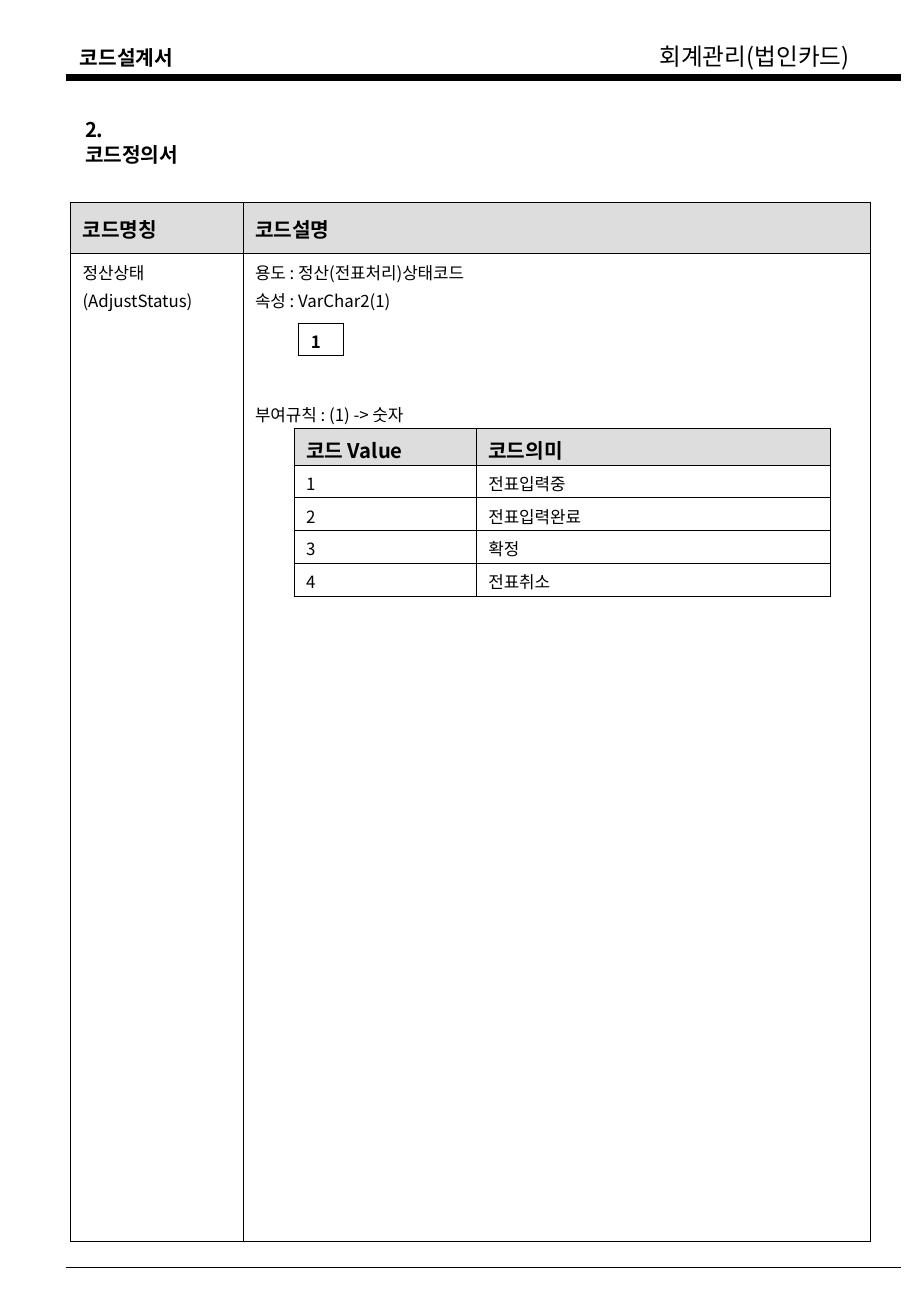
from dataclasses import dataclass

from lxml import etree
from pptx import Presentation
from pptx.dml.color import RGBColor
from pptx.enum.shapes import MSO_CONNECTOR
from pptx.enum.text import MSO_ANCHOR, MSO_AUTO_SIZE, PP_ALIGN
from pptx.oxml.ns import qn
from pptx.util import Inches, Pt

STRAIGHT = MSO_CONNECTOR.STRAIGHT
TOP, MIDDLE = MSO_ANCHOR.TOP, MSO_ANCHOR.MIDDLE
LEFT = PP_ALIGN.LEFT
NO_AUTOFIT = MSO_AUTO_SIZE.NONE


@dataclass(frozen=True)
class Theme:
    font: str = "Noto Sans CJK KR"
    ink: str = "000000"
    header_fill: str = "DDDDDD"
    subject_size: float = 14
    heading_size: float = 12
    body_size: float = 10
    heading_space: float = 3
    body_space: float = 2.5
    outer_line: float = 0.75
    inner_line: float = 0.45
    fine_line: float = 0.34


class Page:
    def __init__(self, slide, theme):
        self.slide = slide
        self.theme = theme

    def format_text(self, frame, size, bold=False, space=0):
        for paragraph in frame.paragraphs:
            paragraph.alignment = LEFT
            paragraph.space_before = Pt(space)
            for run in paragraph.runs:
                run.font.name = self.theme.font
                run.font.size = Pt(size)
                run.font.bold = bold
                run.font.color.rgb = RGBColor.from_string(self.theme.ink)
                east_asian = etree.Element(qn("a:ea"), typeface=self.theme.font)
                run.font._element.find(qn("a:latin")).addnext(east_asian)

    def title(self, text, left, top, width, height):
        heading = self.slide.shapes.title
        heading.left, heading.top = Inches(left), Inches(top)
        heading.width, heading.height = Inches(width), Inches(height)
        frame = heading.text_frame
        frame.text = text
        frame.word_wrap = True
        frame.auto_size = NO_AUTOFIT
        frame.vertical_anchor = TOP
        frame.margin_right = Inches(0.2)
        self.format_text(frame, self.theme.heading_size, bold=True)

    def label(self, text, left, top, width, height, size, bold=False):
        box = self.slide.shapes.add_textbox(
            Inches(left), Inches(top), Inches(width), Inches(height))
        box.text_frame.text = text
        box.text_frame.word_wrap = True
        box.text_frame.margin_right = 0
        self.format_text(box.text_frame, size, bold)

    def rule(self, left, right, y, weight):
        line = self.slide.shapes.add_connector(
            STRAIGHT, Inches(left), Inches(y), Inches(right), Inches(y))
        line.line.color.rgb = RGBColor.from_string(self.theme.ink)
        line.line.width = Pt(weight)
        etree.SubElement(line._element.spPr, qn("a:effectLst"))

    def borders(self, cell, **weights):
        properties = cell._tc.get_or_add_tcPr()
        for side, weight in weights.items():
            edge = etree.SubElement(properties, qn(f"a:ln{side}"), w=str(Pt(weight)))
            fill = etree.SubElement(edge, qn("a:solidFill"))
            etree.SubElement(fill, qn("a:srgbClr"), val=self.theme.ink)

    def header_cell(self, cell):
        cell.fill.solid()
        cell.fill.fore_color.rgb = RGBColor.from_string(self.theme.header_fill)
        cell.vertical_anchor = MIDDLE
        self.format_text(cell.text_frame, self.theme.heading_size, True,
                         self.theme.heading_space)

    def body_cell(self, cell, bold=False, anchor=TOP):
        cell.fill.background()
        cell.vertical_anchor = anchor
        self.format_text(cell.text_frame, self.theme.body_size, bold,
                         self.theme.body_space)

    def table(self, entries, left, top, widths, heights, outer, between_rows,
              bold=False, anchor=TOP):
        table = self.slide.shapes.add_table(
            len(heights), len(widths), Inches(left), Inches(top),
            Inches(sum(widths)), Inches(sum(heights))).table
        table.first_row = table.horz_banding = False
        for column, width in zip(table.columns, widths):
            column.width = Inches(width)
        for row, height in zip(table.rows, heights):
            row.height = Inches(height)
        inner = self.theme.inner_line
        across = [outer, inner] + [between_rows] * len(heights)
        across[len(heights)] = outer
        down = [outer] + [inner] * (len(widths) - 1) + [outer]
        for r, texts in enumerate(entries):
            for c, text in enumerate(texts):
                cell = table.cell(r, c)
                cell.text_frame.text = text
                self.borders(cell, L=down[c], R=down[c + 1],
                             T=across[r], B=across[r + 1])
                if r == 0 and len(entries) > 1:
                    self.header_cell(cell)
                else:
                    self.body_cell(cell, bold, anchor)
        return table


def main():
    presentation = Presentation()
    presentation.slide_width = Inches(7.5)
    presentation.slide_height = Inches(10.84)
    theme = Theme()
    page = Page(presentation.slides.add_slide(presentation.slide_layouts[5]), theme)

    page.label("코드설계서", 0.56, 0.32, 1.1, 0.3, theme.heading_size, bold=True)
    page.rule(0.54, 7.42, 0.64, 4.5)
    page.rule(0.54, 7.42, 10.44, 1)
    page.label("회계관리(법인카드)", 5.33, 0.3, 2.05, 0.34, theme.subject_size)
    page.title("2. 코드정의서", 0.6, 0.92, 1.19, 0.3)

    definitions = page.table(
        [["코드명칭", "코드설명"],
         ["정산상태\n(AdjustStatus)",
          "용도 : 정산(전표처리)상태코드\n속성 : VarChar2(1)\n부여규칙 : (1) -> 숫자"]],
        0.58, 1.67, [1.42, 5.17], [0.42, 8.14], theme.outer_line, theme.inner_line)
    assignment_rule = definitions.cell(1, 1).text_frame.paragraphs[-1]
    assignment_rule.space_before = Pt(53)

    page.table(
        [["코드 Value", "코드의미"],
         ["1", "전표입력중"],
         ["2", "전표입력완료"],
         ["3", "확정"],
         ["4", "전표취소"]],
        2.42, 3.53, [1.5, 2.92], [0.3] + [0.27] * 4, theme.inner_line, theme.fine_line)

    page.table([["1"]], 2.46, 2.66, [0.37], [0.27],
               theme.inner_line, theme.inner_line, bold=True, anchor=MIDDLE)

    presentation.save("out.pptx")


if __name__ == "__main__":
    main()
